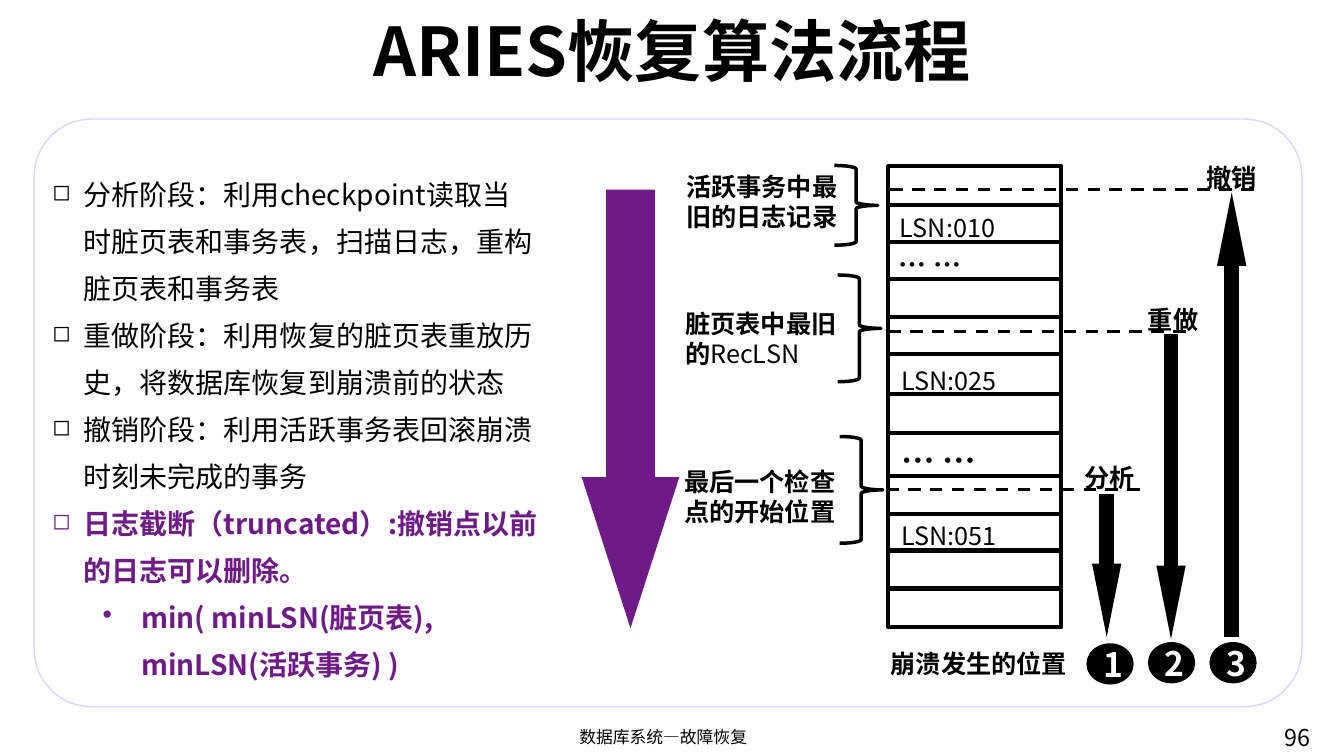
import pptx
import pptx.util
import pptx.dml.color
import pptx.enum.dml
import pptx.enum.shapes
import pptx.enum.text
import pptx.oxml.ns
import lxml.etree

Cm = pptx.util.Cm
Pt = pptx.util.Pt
RGBColor = pptx.dml.color.RGBColor
SHAPE = pptx.enum.shapes.MSO_SHAPE
ALIGN = pptx.enum.text.PP_ALIGN
ANCHOR = pptx.enum.text.MSO_ANCHOR
qn = pptx.oxml.ns.qn

BLACK = RGBColor(0x00, 0x00, 0x00)
WHITE = RGBColor(0xFF, 0xFF, 0xFF)
PURPLE = RGBColor(0x70, 0x19, 0x88)
LAVENDER = RGBColor(0xDA, 0xD6, 0xFA)
FONT = "Noto Sans CJK SC"

LOG_LEFT, LOG_TOP, LOG_WIDTH, LOG_HEIGHT = 22.38, 4.19, 4.37, 11.61
LOG_ROWS = [5.16, 6.1, 7.04, 7.98, 8.92, 9.93, 10.92, 11.99, 12.95, 13.87, 14.83]

STAGES = [
    ("分析阶段：利用checkpoint读取当时脏页表和事务表，扫描日志，重构脏页表和事务表", {}),
    ("重做阶段：利用恢复的脏页表重放历史，将数据库恢复到崩溃前的状态", {}),
    ("撤销阶段：利用活跃事务表回滚崩溃时刻未完成的事务", {}),
    ("日志截断（truncated）:撤销点以前的日志可以删除。", {"color": PURPLE, "bold": True}),
    ("min( minLSN(脏页表), minLSN(活跃事务) )",
     {"color": PURPLE, "bold": True,
      "bullet": {"symbol": "•", "percent": 100, "margin": 2.24, "hanging": 0.97}}),
]
STAGE_BULLET = {"symbol": "◻", "percent": 80, "margin": 0.79, "hanging": 0.79}

# text, left, top, width, size, bold
LABELS = [
    ("崩溃发生的位置", 22.2, 16.21, 5.59, 18, True),
    ("分析", 27.08, 11.53, 1.8, 18, True),
    ("重做", 28.68, 7.54, 1.8, 18, True),
    ("撤销", 30.15, 3.96, 1.8, 18, True),
    ("LSN:010", 22.43, 5.23, 3.43, 18, False),
    ("… …", 22.4, 6.12, 2.51, 20, True),
    ("LSN:025", 22.47, 9.09, 3.43, 18, False),
    ("… …", 22.47, 10.95, 2.51, 24, True),
    ("LSN:051", 22.47, 12.98, 3.43, 18, False),
]

# brace left, top, height; caption left, top; caption runs
BRACES = [
    (21.03, 4.17, 2.01, 17.04, 4.19, [("活跃事务中最旧的日志记录", True)]),
    (21.11, 6.93, 2.69, 17.02, 7.65, [("脏页表中最旧的", True), ("RecLSN", False)]),
    (21.16, 11.0, 2.69, 16.99, 11.63, [("最后一个检查点的开始位置", True)]),
]

# dashed line: left, right, height on the slide
MARKS = [(22.43, 31.67, 4.78), (22.38, 30.1, 8.36), (22.33, 28.88, 12.34)]

# number, badge left, badge top, arrow x, arrow start, arrow end
PASSES = [
    ("1", 27.38, 16.21, 27.89, 12.45, 16.05),
    ("2", 28.93, 16.18, 29.51, 8.41, 16.1),
    ("3", 30.48, 16.18, 31.04, 16.05, 4.85),
]


def write(paragraph, text, size=18, color=BLACK, bold=False, align=ALIGN.LEFT, spacing=1.0):
    run = paragraph.add_run()
    run.text = text
    run.font.name = FONT
    run.font.size = Pt(size)
    run.font.bold = bold
    run.font.color.rgb = color
    east_asian = lxml.etree.SubElement(run.font._element, qn("a:ea"))
    east_asian.set("typeface", FONT)
    paragraph.alignment = align
    paragraph.line_spacing = spacing


def add_box(slide, left, top, width, height, anchor=ANCHOR.TOP):
    """Add a wrapping text box and return its text frame."""
    frame = slide.shapes.add_textbox(Cm(left), Cm(top), Cm(width), Cm(height)).text_frame
    frame.word_wrap = True
    frame.vertical_anchor = anchor
    return frame


def add_label(slide, text, left, top, width, height=0.89, anchor=ANCHOR.TOP, **text_format):
    frame = add_box(slide, left, top, width, height, anchor)
    write(frame.paragraphs[0], text, **text_format)


def add_figure(slide, preset, left, top, width, height, fill=None, line=None, weight=1):
    figure = slide.shapes.add_shape(preset, Cm(left), Cm(top), Cm(width), Cm(height))
    figure.shadow.inherit = False
    if fill is None:
        figure.fill.background()
    else:
        figure.fill.solid()
        figure.fill.fore_color.rgb = fill
    if line is None:
        figure.line.fill.background()
    else:
        figure.line.color.rgb = line
        figure.line.width = Pt(weight)
    return figure


def add_line(slide, x1, y1, x2, y2, weight, dashed=False, arrow=False):
    line = slide.shapes.add_connector(
        pptx.enum.shapes.MSO_CONNECTOR.STRAIGHT, Cm(x1), Cm(y1), Cm(x2), Cm(y2))
    line.line.color.rgb = BLACK
    line.line.width = Pt(weight)
    if dashed:
        line.line.dash_style = pptx.enum.dml.MSO_LINE.DASH
    if arrow:
        head = lxml.etree.SubElement(line.line._get_or_add_ln(), qn("a:tailEnd"))
        for key, value in (("type", "triangle"), ("w", "sm"), ("len", "lg")):
            head.set(key, value)
    lxml.etree.SubElement(line._element.spPr, qn("a:effectLst"))


def set_bullet(paragraph, symbol, percent, margin, hanging):
    properties = paragraph._p.get_or_add_pPr()
    properties.set("marL", str(Cm(margin)))
    properties.set("indent", str(-Cm(hanging)))
    lxml.etree.SubElement(properties, qn("a:buSzPct")).set("val", str(percent * 1000))
    lxml.etree.SubElement(properties, qn("a:buChar")).set("char", symbol)


def add_stages(slide):
    frame = add_box(slide, 1.07, 4.01, 12.73, 13.28)
    for index, (text, text_format) in enumerate(STAGES):
        paragraph = frame.add_paragraph() if index else frame.paragraphs[0]
        layout = {"bullet": STAGE_BULLET, **text_format}
        set_bullet(paragraph, **layout.pop("bullet"))
        write(paragraph, text, size=20, spacing=1.4, **layout)


def add_log(slide):
    add_figure(slide, SHAPE.RECTANGLE, LOG_LEFT, LOG_TOP, LOG_WIDTH, LOG_HEIGHT,
               line=BLACK, weight=3)
    for row in LOG_ROWS:
        add_line(slide, LOG_LEFT, row, LOG_LEFT + LOG_WIDTH, row, 3)


def add_brace(slide, left, top, height, caption_left, caption_top, runs):
    add_figure(slide, SHAPE.RIGHT_BRACE, left, top, 1.09, height, line=BLACK, weight=2.5)
    caption = add_box(slide, caption_left, caption_top, 4.32, 1.55)
    for text, bold in runs:
        write(caption.paragraphs[0], text, bold=bold)


def add_pass(slide, number, left, top, arrow_x, start, end):
    badge = add_figure(slide, SHAPE.OVAL, left, top, 1.19, 1.04, fill=BLACK)
    frame = badge.text_frame
    frame.vertical_anchor = ANCHOR.MIDDLE
    write(frame.paragraphs[0], number, size=24, color=WHITE, bold=True, align=ALIGN.CENTER)
    add_line(slide, arrow_x, start, arrow_x, end, 10.5, arrow=True)


def main():
    deck = pptx.Presentation()
    deck.slide_width, deck.slide_height = Cm(33.87), Cm(19.05)
    slide = deck.slides.add_slide(deck.slide_layouts[6])

    card = add_figure(slide, SHAPE.ROUNDED_RECTANGLE, 0.86, 3, 31.95, 14.81, WHITE, LAVENDER)
    card.adjustments[0] = 0.098
    add_label(slide, "ARIES恢复算法流程", 2.92, 0.3, 28.04, 1.88, ANCHOR.MIDDLE,
              size=48, bold=True, align=ALIGN.CENTER)
    add_label(slide, "数据库系统—故障恢复", 11.37, 18.19, 10.69, 0.86,
              size=12, align=ALIGN.CENTER)
    add_label(slide, "96", 32.13, 18.11, 1.7, 0.9, size=16.6)

    add_stages(slide)
    time_arrow = add_figure(slide, SHAPE.DOWN_ARROW, 14.66, 4.78, 2.46, 11.05, fill=PURPLE)
    time_arrow.adjustments[0] = 0.5
    time_arrow.adjustments[1] = 1.547

    add_log(slide)
    for brace in BRACES:
        add_brace(slide, *brace)
    for left, right, height in MARKS:
        add_line(slide, left, height, right, height, 2.25, dashed=True)
    for step in PASSES:
        add_pass(slide, *step)
    for text, left, top, width, size, bold in LABELS:
        add_label(slide, text, left, top, width, size=size, bold=bold)

    deck.save("out.pptx")


if __name__ == "__main__":
    main()
